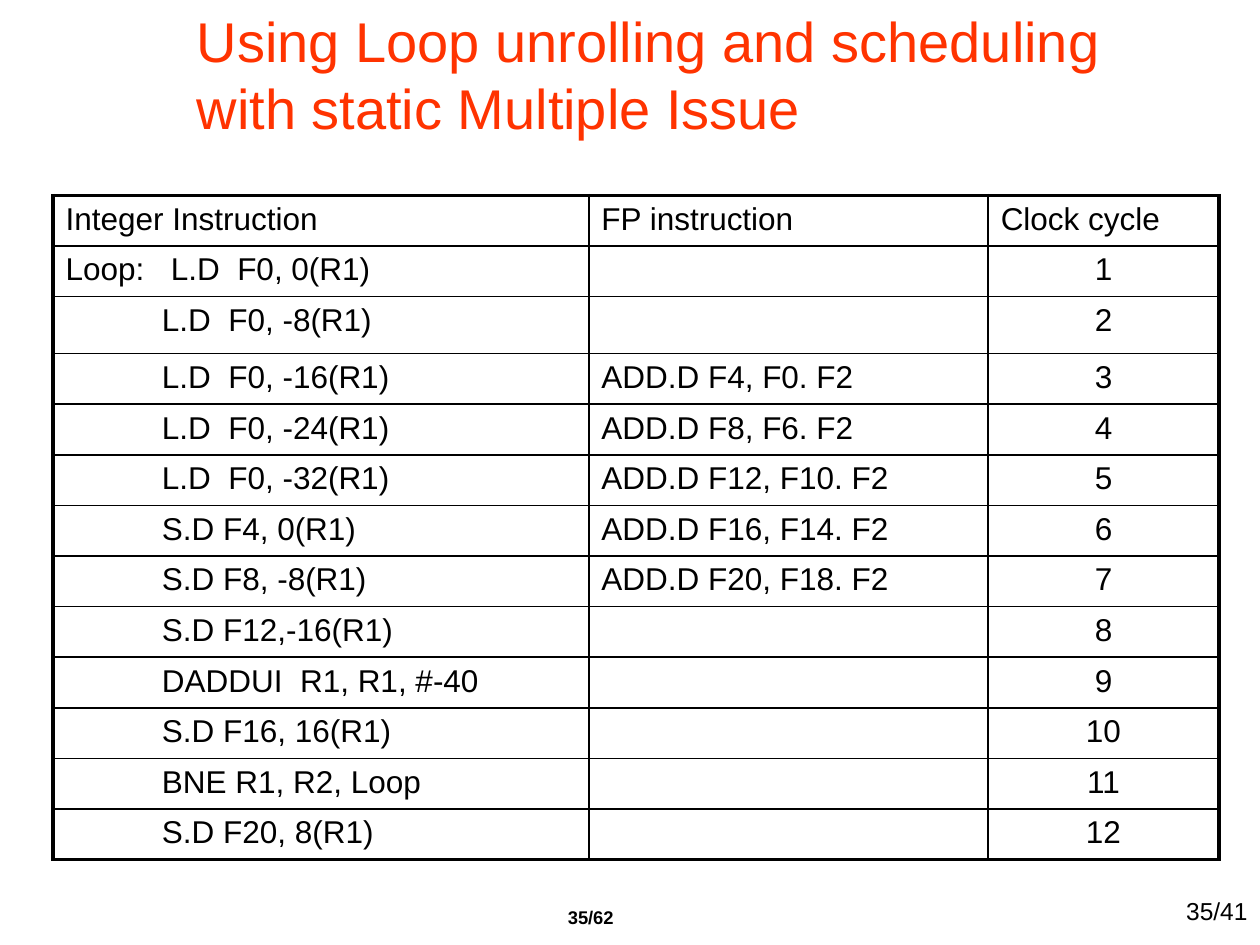
from lxml.etree import SubElement
from pptx import Presentation
from pptx.dml.color import RGBColor
from pptx.enum.text import MSO_ANCHOR, MSO_AUTO_SIZE, PP_ALIGN
from pptx.oxml.ns import qn
from pptx.util import Cm, Pt

BLACK = RGBColor(0, 0, 0)
WHITE = RGBColor(255, 255, 255)
ORANGE_RED = RGBColor(0xFF, 0x33, 0x00)

FONT = "Arial"
INSTRUCTION_INDENT = Cm(1.94)
LOOP_TAB = Cm(2.12)
COLUMN_WIDTHS = (10.8, 8.05, 4.65)
ROW_HEIGHT, TALL_ROW_HEIGHT, TALL_ROW = 1.02, 1.15, 2
THIN, THICK = Pt(1), Pt(2.25)

HEADINGS = ("Integer Instruction", "FP instruction", "Clock cycle")
SCHEDULE = (
    ("Loop:\tL.D  F0, 0(R1)", ""),
    ("L.D  F0, -8(R1)", ""),
    ("L.D  F0, -16(R1)", "ADD.D F4, F0. F2"),
    ("L.D  F0, -24(R1)", "ADD.D F8, F6. F2"),
    ("L.D  F0, -32(R1)", "ADD.D F12, F10. F2"),
    ("S.D F4, 0(R1)", "ADD.D F16, F14. F2"),
    ("S.D F8, -8(R1)", "ADD.D F20, F18. F2"),
    ("S.D F12,-16(R1)", ""),
    ("DADDUI  R1, R1, #-40", ""),
    ("S.D F16, 16(R1)", ""),
    ("BNE R1, R2, Loop", ""),
    ("S.D F20, 8(R1)", ""),
)


def add_run(paragraph, text, size, color=BLACK, bold=False):
    """Append one formatted run to a paragraph."""
    run = paragraph.add_run()
    run.text = text
    run.font.name = FONT
    run.font.size = Pt(size)
    run.font.bold = bold
    run.font.color.rgb = color


def format_title(title, lines):
    """Place the title placeholder and write its lines."""
    title.left, title.top = Cm(3.71), Cm(0.05)
    title.width, title.height = Cm(21.21), Cm(2.87)
    title.fill.solid()
    title.fill.fore_color.rgb = WHITE
    frame = title.text_frame
    frame.auto_size = MSO_AUTO_SIZE.NONE
    frame.vertical_anchor = MSO_ANCHOR.MIDDLE
    paragraph = frame.paragraphs[0]
    paragraph.alignment = PP_ALIGN.LEFT
    for index, line in enumerate(lines):
        if index:
            paragraph.add_line_break()
        add_run(paragraph, line, 32, ORANGE_RED)


def add_page_number(slide, text, left, top, height, size, bold=False):
    """Add a right-aligned page number."""
    page_number = slide.shapes.add_textbox(Cm(left), Cm(top), Cm(5.28), Cm(height))
    frame = page_number.text_frame
    frame.word_wrap = True
    paragraph = frame.paragraphs[0]
    paragraph.alignment = PP_ALIGN.RIGHT
    add_run(paragraph, text, size, bold=bold)


def set_borders(cell, widths):
    """Draw black borders in left, right, top, bottom order."""
    properties = cell._tc.get_or_add_tcPr()
    for side, width in zip(("a:lnL", "a:lnR", "a:lnT", "a:lnB"), widths):
        line = SubElement(properties, qn(side), w=str(width))
        fill = SubElement(line, qn("a:solidFill"))
        SubElement(fill, qn("a:srgbClr"), val=str(BLACK))


def indent_instruction(paragraph, text):
    """Align an instruction behind the loop label's column."""
    properties = paragraph._p.get_or_add_pPr()
    if "\t" in text:
        tabs = SubElement(properties, qn("a:tabLst"))
        SubElement(tabs, qn("a:tab"), pos=str(LOOP_TAB), algn="l")
    else:
        properties.set("marL", str(INSTRUCTION_INDENT))


def add_schedule(slide):
    """Add the instruction schedule as a table with a thick frame."""
    rows = [HEADINGS]
    rows += [(*pair, str(cycle)) for cycle, pair in enumerate(SCHEDULE, 1)]
    last_row, last_column = len(rows) - 1, len(HEADINGS) - 1
    heights = [TALL_ROW_HEIGHT if r == TALL_ROW else ROW_HEIGHT for r in range(len(rows))]
    table = slide.shapes.add_table(
        len(rows), len(HEADINGS), Cm(1.07), Cm(3.94),
        Cm(sum(COLUMN_WIDTHS)), Cm(sum(heights)),
    ).table
    table.first_row = table.horz_banding = False
    for column, width in zip(table.columns, COLUMN_WIDTHS):
        column.width = Cm(width)
    for r, texts in enumerate(rows):
        table.rows[r].height = Cm(heights[r])
        for c, text in enumerate(texts):
            cell = table.cell(r, c)
            on_frame = (c == 0, c == last_column, r == 0, r == last_row)
            set_borders(cell, [THICK if outer else THIN for outer in on_frame])
            cell.fill.background()
            paragraph = cell.text_frame.paragraphs[0]
            if r and c == 0:
                indent_instruction(paragraph, text)
            if r and c == last_column:
                paragraph.alignment = PP_ALIGN.CENTER
            if text:
                add_run(paragraph, text, 18)


def main():
    """Build and save the slide."""
    presentation = Presentation()
    presentation.slide_width, presentation.slide_height = Cm(25.4), Cm(19.05)
    slide = presentation.slides.add_slide(presentation.slide_layouts[5])
    add_page_number(slide, "35/62", 7.34, 18.14, 1.27, 10.5, bold=True)
    add_page_number(slide, "35/41", 20.12, 17.93, 1.12, 14)
    format_title(
        slide.shapes.title,
        ("Using Loop unrolling and scheduling ", "with static Multiple Issue"),
    )
    add_schedule(slide)
    presentation.save("out.pptx")


if __name__ == "__main__":
    main()
